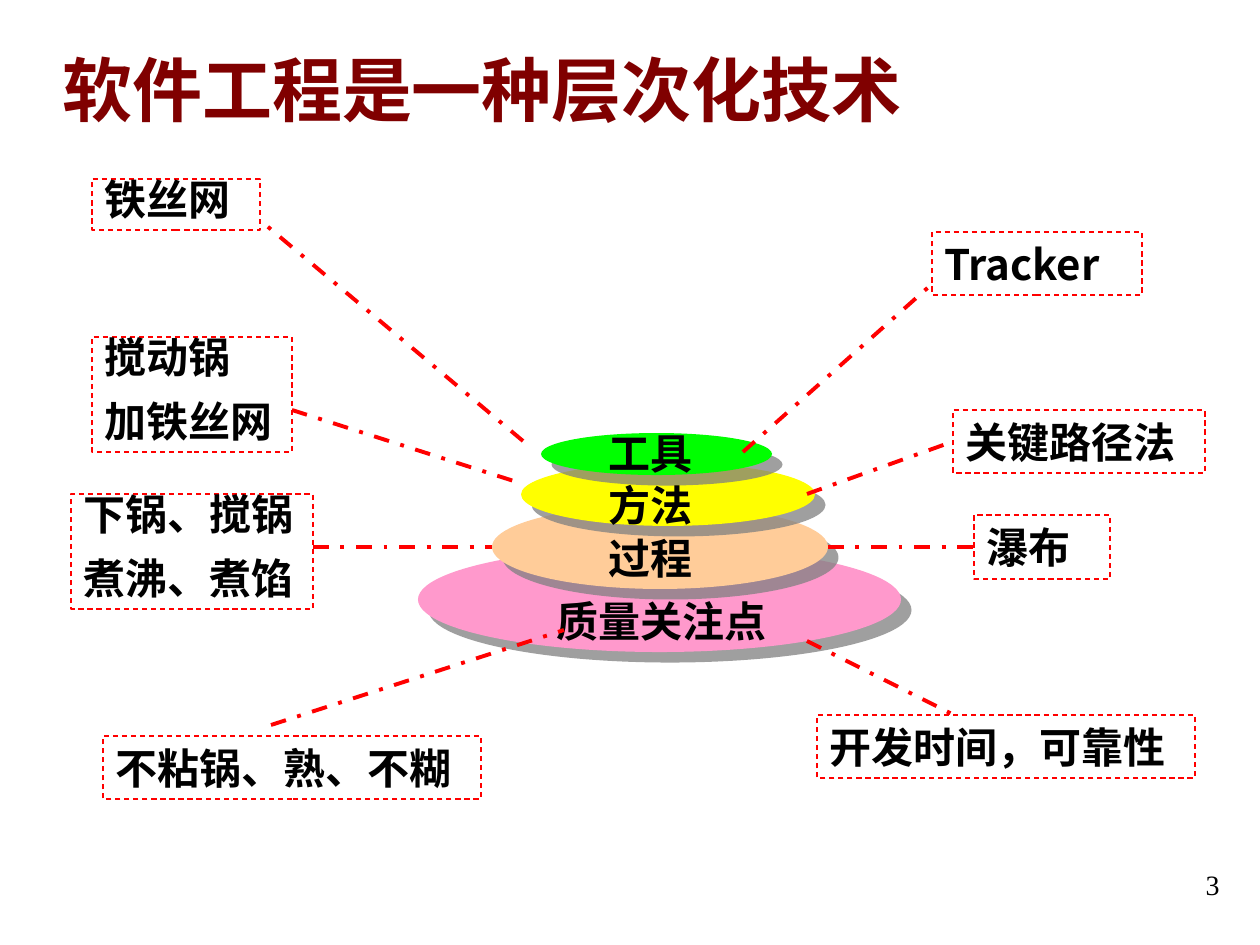
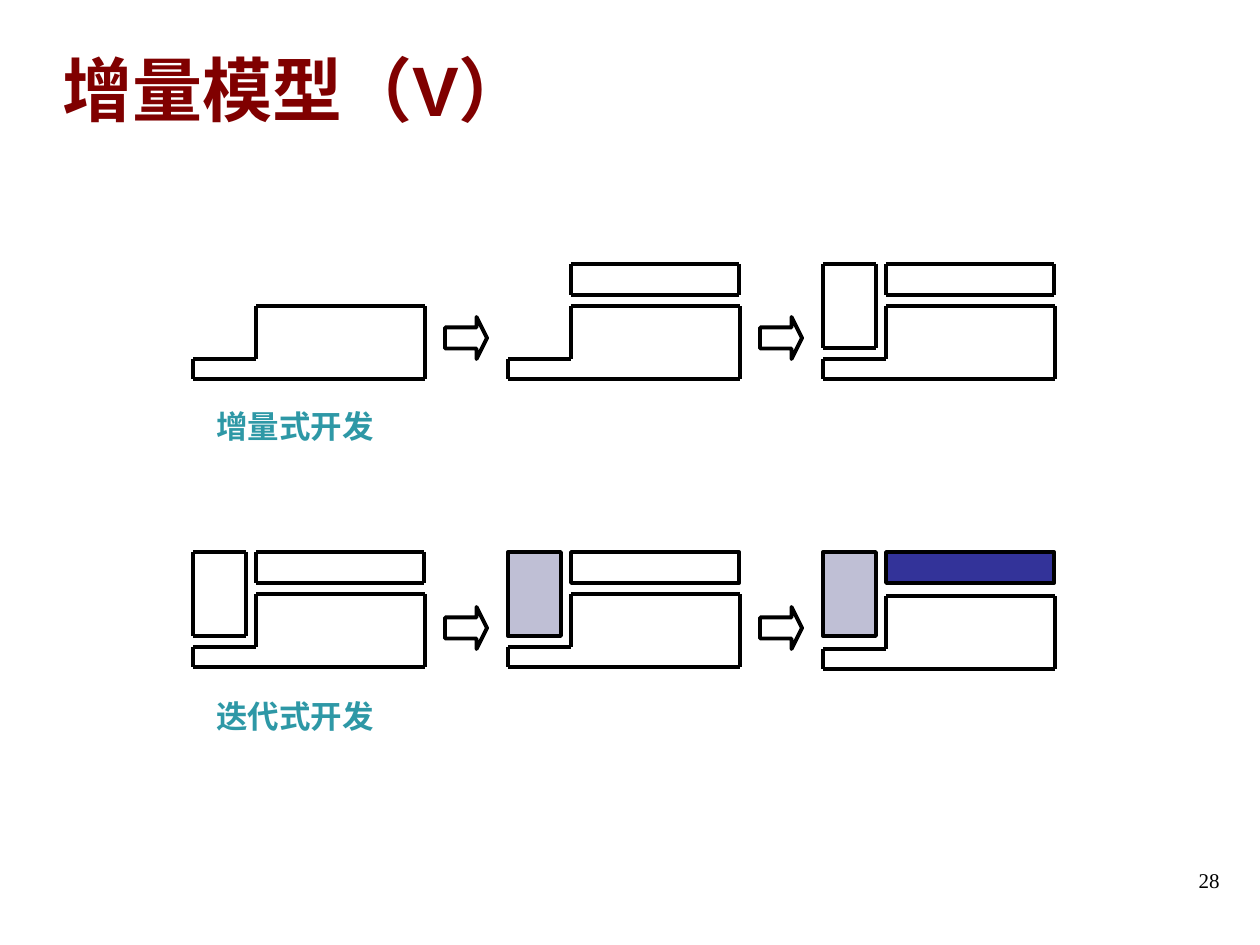
import itertools

import pptx
import pptx.util
import pptx.dml.color
import pptx.enum.dml
import pptx.enum.shapes
import pptx.enum.text
import pptx.oxml
import pptx.oxml.ns

SCALE = 914400 / 126
SLIDE_SIZE = (1260, 945)
CJK = "Noto Sans CJK SC"
SERIF = "Times New Roman"
SANS = "Arial"
BLACK = "000000"
MAROON = "800000"
RED = "FF0000"
TEAL = "2E98A6"
LAVENDER = "BFBFD5"
INDIGO = "333399"
TITLE_BOX = (50, 40, 1134, 97)
NUMBER_BOX = (938, 861, 294, 66)
STAGE_PITCH = 315
SHAPES = pptx.enum.shapes.MSO_SHAPE
DASHES = pptx.enum.dml.MSO_LINE
ANCHORS = pptx.enum.text.MSO_ANCHOR
ALIGNS = pptx.enum.text.PP_ALIGN

LAYERS = [
    ("质量关注点", "FF99CC", (418, 547, 483, 105), (544, 589, 252, 113)),
    ("过程", "FFCC99", (492, 505, 336, 84), (596, 526, 147, 63)),
    ("方法", "FFFF00", (521, 463, 294, 63), (596, 473, 252, 63)),
    ("工具", "00FF00", (541, 433, 231, 42), (596, 421, 231, 63)),
]

EXAMPLES = [
    ("不粘锅、熟、不糊", (103, 736, 378, 63), (271, 725), (564, 630), 1, False),
    ("下锅、搅锅\n煮沸、煮馅", (71, 494, 242, 115), (313, 547), (492, 547), 0.75, False),
    ("搅动锅\n加铁丝网", (92, 337, 200, 115), (292, 410), (523, 484), 0.75, False),
    ("铁丝网", (92, 179, 168, 51), (523, 441), (261, 221), 0.75, False),
    ("开发时间，可靠性", (817, 715, 378, 63), (807, 641), (954, 715), 1, False),
    ("瀑布", (974, 515, 136, 64), (828, 547), (974, 547), 1, True),
    ("关键路径法", (953, 410, 252, 63), (807, 494), (953, 441), 1, True),
    ("Tracker", (932, 232, 210, 63), (743, 452), (932, 284), 1, False),
]

DRAWN = "drawn"
CLEAR = None
INCREMENTAL_STAGES = [
    ({}, 42),
    ({"bar": DRAWN}, 42),
    ({"tower": DRAWN, "bar": DRAWN}, 42),
]
ITERATIVE_STAGES = [
    ({"tower": DRAWN, "bar": DRAWN}, 42),
    ({"tower": LAVENDER, "bar": CLEAR}, 42),
    ({"tower": LAVENDER, "bar": INDIGO}, 44),
]


def px(*lengths):
    return [pptx.util.Emu(round(length * SCALE)) for length in lengths]


def rgb(value):
    return pptx.dml.color.RGBColor.from_string(value)


def style_line(line, color, width=2.25, dash=None):
    line.color.rgb = rgb(color)
    line.width = pptx.util.Pt(width)
    if dash:
        line.dash_style = dash


def add_preset(slide, kind, box, fill=None, line=None, **stroke):
    shape = slide.shapes.add_shape(kind, *px(*box))
    shape.shadow.inherit = False
    if fill:
        shape.fill.solid()
        shape.fill.fore_color.rgb = rgb(fill)
    else:
        shape.fill.background()
    if line:
        style_line(shape.line, line, **stroke)
    else:
        shape.line.fill.background()
    return shape


def add_straight(slide, start, end, color, **stroke):
    straight = slide.shapes.add_connector(
        pptx.enum.shapes.MSO_CONNECTOR.STRAIGHT, *px(*start, *end))
    style_line(straight.line, color, **stroke)
    straight._element.spPr.append(pptx.oxml.parse_xml(
        f'<a:effectLst {pptx.oxml.ns.nsdecls("a")}/>'))
    return straight


def write(shape, text, size=24, font=CJK, color=BLACK, bold=True,
          align=ALIGNS.LEFT, anchor=ANCHORS.TOP, spacing=1, gap=15):
    frame = shape.text_frame
    frame.word_wrap = True
    frame.vertical_anchor = anchor
    for index, words in enumerate(text.split("\n")):
        paragraph = frame.add_paragraph() if index else frame.paragraphs[0]
        paragraph.alignment = align
        paragraph.line_spacing = spacing
        if index:
            paragraph.space_before = pptx.util.Pt(gap)
        run = paragraph.add_run()
        run.text = words
        run.font.size = pptx.util.Pt(size)
        run.font.bold = bold
        run.font.color.rgb = rgb(color)
        run.font.name = font
        east_asian = pptx.oxml.parse_xml(
            f'<a:ea {pptx.oxml.ns.nsdecls("a")} typeface="{CJK}"/>')
        run.font._element.append(east_asian)


def add_label(slide, text, box, **look):
    write(slide.shapes.add_textbox(*px(*box)), text, **look)


def add_frame(deck, title, number, title_font, number_size):
    slide = deck.slides.add_slide(deck.slide_layouts[6])
    add_label(slide, title, TITLE_BOX, size=40, font=title_font,
              color=MAROON, anchor=ANCHORS.MIDDLE)
    add_label(slide, number, NUMBER_BOX, size=number_size, font=SERIF,
              bold=False, align=ALIGNS.RIGHT)
    return slide


def cast_shadow(shape):
    effects = shape._element.spPr.find(pptx.oxml.ns.qn("a:effectLst"))
    effects.append(pptx.oxml.parse_xml(
        f'<a:outerShdw {pptx.oxml.ns.nsdecls("a")} blurRad="0" dist="107950" '
        'dir="2700000" algn="ctr" rotWithShape="0">'
        '<a:srgbClr val="808080"><a:alpha val="75000"/></a:srgbClr>'
        '</a:outerShdw>'))


def add_layers(slide):
    for _, fill, disc_box, _ in LAYERS:
        cast_shadow(add_preset(slide, SHAPES.OVAL, disc_box, fill=fill))
    for name, _, _, name_box in LAYERS:
        add_label(slide, name, name_box, font=SERIF)


def add_example(slide, text, box, start, end, spacing, joined):
    example = add_preset(slide, SHAPES.RECTANGLE, box, line=RED, width=0.75,
                         dash=DASHES.DASH)
    write(example, text, spacing=spacing)
    pointer = add_straight(slide, start, end, RED, dash=DASHES.DASH_DOT)
    if joined:
        pointer.end_connect(example, 1)


def draw_outline(slide, corners):
    for start, end in itertools.pairwise(corners + corners[:1]):
        add_straight(slide, start, end, BLACK)


def add_part(slide, box, fill):
    if fill != DRAWN:
        add_preset(slide, SHAPES.RECTANGLE, box, fill=fill, line=BLACK)
        return
    left, top, width, height = box
    right, bottom = left + width, top + height
    draw_outline(slide, [(left, top), (right, top), (right, bottom), (left, bottom)])


def add_stage(slide, left, top, parts, base_drop):
    base_top = top + base_drop
    step, bottom, right = base_top + 53, base_top + 73, left + 232
    draw_outline(slide, [
        (left, bottom), (right, bottom), (right, base_top),
        (left + 63, base_top), (left + 63, step), (left, step)])
    part_boxes = {"tower": (left, top, 53, 84), "bar": (left + 63, top, 168, 31)}
    for part, fill in parts.items():
        add_part(slide, part_boxes[part], fill)


def add_development(slide, left, top, caption, stages, arrow_drop):
    for index, (parts, base_drop) in enumerate(stages):
        stage_left = left + index * STAGE_PITCH
        add_stage(slide, stage_left, top, parts, base_drop)
        if index:
            arrow = add_preset(
                slide, SHAPES.RIGHT_ARROW,
                (stage_left - 63, top + arrow_drop, 42, 42), line=BLACK)
            arrow.adjustments[0] = 0.5
            arrow.adjustments[1] = 0.25
    add_label(slide, caption, (left + 11, top + arrow_drop + 84, 462, 50),
              size=18, font=SANS, color=TEAL)


def build_layers_slide(deck):
    slide = add_frame(deck, "软件工程是一种层次化技术", "3", SERIF, 16)
    add_layers(slide)
    for example in EXAMPLES:
        add_example(slide, *example)


def build_increment_slide(deck):
    slide = add_frame(deck, "增量模型（V）", "28", SANS, 12)
    add_development(slide, 193, 264, "增量式开发", INCREMENTAL_STAGES, 53)
    add_development(slide, 193, 552, "迭代式开发", ITERATIVE_STAGES, 55)


def main():
    deck = pptx.Presentation()
    deck.slide_width, deck.slide_height = px(*SLIDE_SIZE)
    build_layers_slide(deck)
    build_increment_slide(deck)
    deck.save("out.pptx")


if __name__ == "__main__":
    main()
